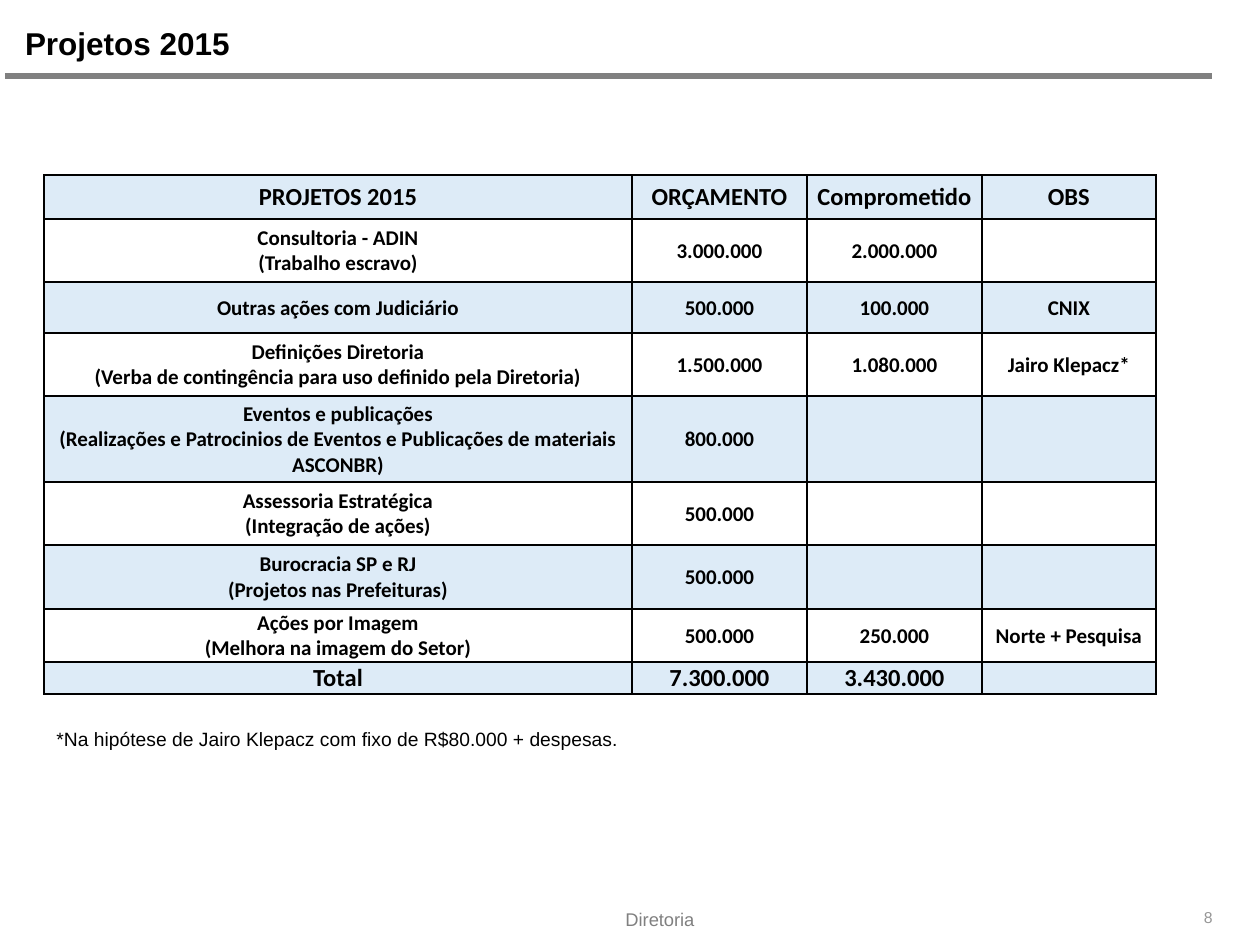
from lxml import etree
from pptx import Presentation
from pptx.dml.color import RGBColor
from pptx.enum.shapes import MSO_CONNECTOR
from pptx.enum.text import MSO_ANCHOR, PP_ALIGN
from pptx.oxml.ns import qn
from pptx.util import Pt

PX = 914400 / 126
BLACK = RGBColor(0x00, 0x00, 0x00)
WHITE = RGBColor(0xFF, 0xFF, 0xFF)
PALE_BLUE = RGBColor(0xDD, 0xEB, 0xF7)
GRAY = RGBColor(0x80, 0x80, 0x80)
LIGHT_GRAY = RGBColor(0x96, 0x96, 0x96)
LEFT, CENTER, RIGHT = PP_ALIGN.LEFT, PP_ALIGN.CENTER, PP_ALIGN.RIGHT
STRAIGHT = MSO_CONNECTOR.STRAIGHT
MIDDLE = MSO_ANCHOR.MIDDLE


def px(*lengths):
    return [round(length * PX) for length in lengths]


def write(text_frame, text, alignment, **font_format):
    paragraph = text_frame.paragraphs[0]
    paragraph.text = text
    paragraph.alignment = alignment
    for run in paragraph.runs:
        for name, value in font_format.items():
            if name == "color":
                run.font.color.rgb = value
            else:
                setattr(run.font, name, value)
    # Line breaks and empty paragraphs need their own size to keep row heights
    size = str(int(font_format["size"].pt * 100))
    for line_break in paragraph._p.findall(qn("a:br")):
        etree.SubElement(line_break, qn("a:rPr"), sz=size)
    if not text:
        etree.SubElement(paragraph._p, qn("a:endParaRPr"), sz=size)


presentation = Presentation()
presentation.slide_width, presentation.slide_height = px(1260, 945)
slide = presentation.slides.add_slide(presentation.slide_layouts[5])

# Title and rule
title = slide.shapes.title
title.left, title.top, title.width, title.height = px(25, 21, 1198, 44)
frame = title.text_frame
margins = dict.fromkeys(("margin_left", "margin_top", "margin_right", "margin_bottom"), 0)
for name, value in {**margins, "vertical_anchor": MIDDLE, "word_wrap": True}.items():
    setattr(frame, name, value)
write(frame, "Projetos 2015", LEFT, name="Arial", size=Pt(18), bold=True, color=BLACK)

rule = slide.shapes.add_connector(STRAIGHT, *px(5, 76, 1212, 76))
rule.line.color.rgb = GRAY
rule.line.width = Pt(3.2)
etree.SubElement(rule._element.spPr, qn("a:effectLst"))

# Budget table
rows = [
    ("PROJETOS 2015", "ORÇAMENTO", "Comprometido", "OBS"),
    ("Consultoria - ADIN\v(Trabalho escravo)", "3.000.000", "2.000.000", ""),
    ("Outras ações com Judiciário", "500.000", "100.000", "CNIX"),
    ("Definições Diretoria\v(Verba de contingência para uso definido pela Diretoria)",
     "1.500.000", "1.080.000", "Jairo Klepacz*"),
    ("Eventos e publicações\v(Realizações e Patrocinios de Eventos e Publicações "
     "de materiais ASCONBR)", "800.000", "", ""),
    ("Assessoria Estratégica\v(Integração de ações)", "500.000", "", ""),
    ("Burocracia SP e RJ\v(Projetos nas Prefeituras)", "500.000", "", ""),
    ("Ações por Imagem\v(Melhora na imagem do Setor)", "500.000", "250.000",
     "Norte + Pesquisa"),
    ("Total", "7.300.000", "3.430.000", ""),
]
column_widths = px(588, 175, 175, 174)
row_heights = px(44, 63, 51, 63, 86, 63, 64, 53, 32)
table = slide.shapes.add_table(len(rows), len(column_widths), *px(44, 175, 1112, 519)).table
for column, width in zip(table.columns, column_widths):
    column.width = width

cell_format = {**margins, "margin_left": px(1)[0], "margin_right": px(1)[0],
               "margin_top": px(1)[0], "vertical_anchor": MIDDLE}
for row_index, texts in enumerate(rows):
    table.rows[row_index].height = row_heights[row_index]
    size = Pt(14 if row_index in (0, len(rows) - 1) else 12)
    for column_index, text in enumerate(texts):
        cell = table.cell(row_index, column_index)
        for name, value in cell_format.items():
            setattr(cell, name, value)
        write(cell.text_frame, text, CENTER, name="Calibri", size=size, bold=True, color=BLACK)
        properties = cell._tc.get_or_add_tcPr()
        for side in ("lnL", "lnR", "lnT", "lnB"):
            border = etree.SubElement(properties, qn(f"a:{side}"), w=str(Pt(1)))
            border_fill = etree.SubElement(border, qn("a:solidFill"))
            etree.SubElement(border_fill, qn("a:srgbClr"), val=str(BLACK))
        cell.fill.solid()
        cell.fill.fore_color.rgb = WHITE if row_index % 2 else PALE_BLUE

# Footnote, footer and page number
notes = [
    ("*Na hipótese de Jairo Klepacz com fixo de R$80.000 + despesas.",
     (44, 721, 893, 36), 6, LEFT, 11, BLACK),
    ("Diretoria", (551, 900, 218, 36), 8, CENTER, 10.5, GRAY),
    ("8", (1007, 900, 218, 33), 8, RIGHT, 9, LIGHT_GRAY),
]
for text, box, margin, alignment, size, color in notes:
    frame = slide.shapes.add_textbox(*px(*box)).text_frame
    frame.word_wrap = True
    frame.margin_top = frame.margin_bottom = px(margin)[0]
    write(frame, text, alignment, name="Arial", size=Pt(size), color=color)

presentation.save("out.pptx")
